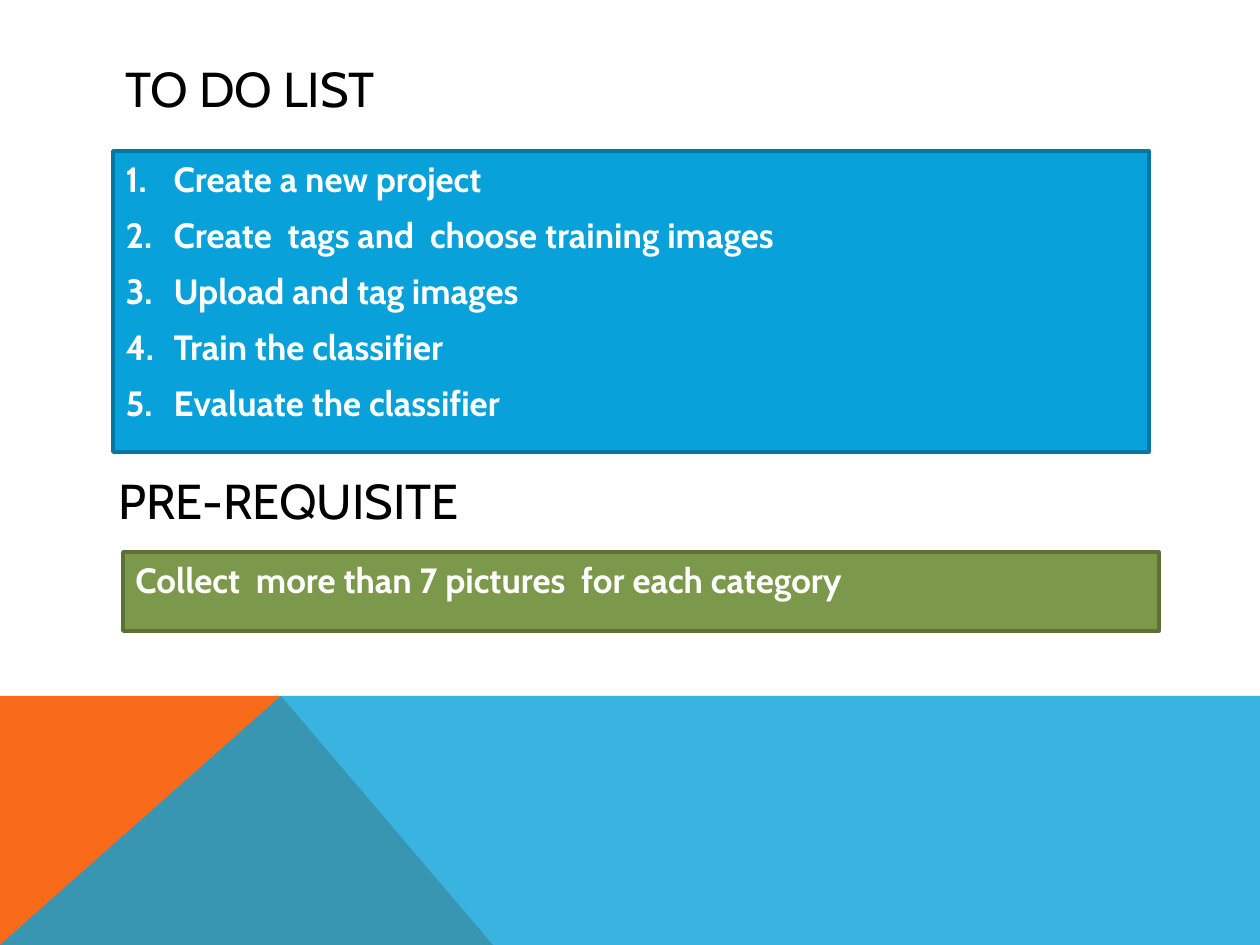
from dataclasses import dataclass

from lxml import etree
from pptx import Presentation
from pptx.dml.color import RGBColor
from pptx.enum.shapes import MSO_SHAPE
from pptx.enum.text import MSO_ANCHOR, MSO_AUTO_SIZE, PP_ALIGN
from pptx.oxml.ns import qn
from pptx.util import Emu, Pt

RECTANGLE = MSO_SHAPE.RECTANGLE
TOP, MIDDLE = MSO_ANCHOR.TOP, MSO_ANCHOR.MIDDLE
LEFT = PP_ALIGN.LEFT
NO_AUTOFIT = MSO_AUTO_SIZE.NONE

EMU_PER_PX = 914400 / 126
PAGE_WIDTH, PAGE_HEIGHT = 1260, 945
BLOCK_WIDTH, HEADING_HEIGHT = 1036, 76
LIST_INDENT = 48


@dataclass(frozen=True)
class Theme:
    font: str = "Cabin"
    heading_size: int = 28
    body_size: int = 20
    space_before: int = 8
    border_width: int = 2
    heading: str = "000000"
    body: str = "FFFFFF"
    blue: str = "08A1D9"
    dark_blue: str = "0677A1"
    green: str = "7C984A"
    dark_green: str = "5C7037"
    orange: str = "F96A1B"


@dataclass(frozen=True)
class Heading:
    text: str
    left: int
    top: int


@dataclass(frozen=True)
class Panel:
    lines: tuple[str, ...]
    left: int
    top: int
    height: int
    fill: str
    border: str
    numbered: bool


@dataclass(frozen=True)
class Band:
    points: tuple[tuple[int, int], ...]
    fill: str
    opacity: int = 100


THEME = Theme()

TITLE = Heading("TO DO LIST", 113, 50)
SUBTITLE = Heading("PRE-REQUISITE", 106, 462)
STEPS = Panel(
    (
        "Create a new project",
        "Create  tags and  choose training images",
        "Upload and tag images",
        "Train the classifier",
        "Evaluate the classifier",
    ),
    113, 151, 301, THEME.blue, THEME.dark_blue, True,
)
REQUIREMENT = Panel(
    ("Collect  more than 7 pictures  for each category",),
    123, 552, 79, THEME.green, THEME.dark_green, False,
)

BAND_TOP, PEAK, FOOT = 696, 281, 493
BANDS = (
    Band(((0, PAGE_HEIGHT), (0, BAND_TOP), (PEAK, BAND_TOP), (FOOT, PAGE_HEIGHT)),
         THEME.orange),
    Band(((0, PAGE_HEIGHT), (PEAK, BAND_TOP), (PAGE_WIDTH, BAND_TOP),
          (PAGE_WIDTH, PAGE_HEIGHT)), THEME.blue, 80),
)


def px(length: int) -> Emu:
    return Emu(round(length * EMU_PER_PX))


def place(box, left: int, top: int, height: int) -> None:
    box.left, box.top = px(left), px(top)
    box.width, box.height = px(BLOCK_WIDTH), px(height)


def paint(shape, color: str) -> None:
    shape.fill.solid()
    shape.fill.fore_color.rgb = RGBColor.from_string(color)


def write(box, lines: tuple[str, ...], size: int, color: str, bold: bool, anchor) -> None:
    frame = box.text_frame
    frame.text = "\n".join(lines)
    frame.word_wrap = True
    frame.auto_size = NO_AUTOFIT
    frame.vertical_anchor = anchor
    for para in frame.paragraphs:
        para.alignment = LEFT
        para.font.name = THEME.font
        para.font.size = Pt(size)
        para.font.bold = bold
        para.font.color.rgb = RGBColor.from_string(color)


def draw_heading(box, heading: Heading) -> None:
    place(box, heading.left, heading.top, HEADING_HEIGHT)
    write(box, (heading.text,), THEME.heading_size, THEME.heading, False, MIDDLE)


def draw_panel(box, panel: Panel) -> None:
    place(box, panel.left, panel.top, panel.height)
    paint(box, panel.fill)
    box.line.color.rgb = RGBColor.from_string(panel.border)
    box.line.width = Pt(THEME.border_width)
    write(box, panel.lines, THEME.body_size, THEME.body, True, TOP)
    for para in box.text_frame.paragraphs:
        para.space_before = Pt(THEME.space_before)
        if panel.numbered:
            number(para)


def number(para) -> None:
    properties = para._p.get_or_add_pPr()
    properties.set("marL", str(px(LIST_INDENT)))
    properties.set("indent", str(-px(LIST_INDENT)))
    bullet = etree.Element(qn("a:buAutoNum"), type="arabicPeriod")
    properties.find(qn("a:defRPr")).addprevious(bullet)


def draw_band(page, band: Band) -> None:
    start, *rest = band.points
    builder = page.shapes.build_freeform(*start, scale=EMU_PER_PX)
    builder.add_line_segments(rest, close=True)
    shape = builder.convert_to_shape()
    shape.shadow.inherit = False
    paint(shape, band.fill)
    shape.line.fill.background()
    if band.opacity < 100:
        color = shape._element.spPr.find(f"{qn('a:solidFill')}/{qn('a:srgbClr')}")
        etree.SubElement(color, qn("a:alpha"), val=str(band.opacity * 1000))


def main() -> None:
    deck = Presentation()
    deck.slide_width, deck.slide_height = px(PAGE_WIDTH), px(PAGE_HEIGHT)
    page = deck.slides.add_slide(deck.slide_layouts[1])

    # Coloured bands at the foot
    for band in BANDS:
        draw_band(page, band)

    # Steps
    draw_heading(page.shapes.title, TITLE)
    draw_panel(page.placeholders[1], STEPS)

    # Prerequisite
    requirement_box = page.shapes.add_shape(RECTANGLE, 0, 0, 0, 0)
    requirement_box.shadow.inherit = False
    draw_panel(requirement_box, REQUIREMENT)
    draw_heading(page.shapes.add_textbox(0, 0, 0, 0), SUBTITLE)

    deck.save("out.pptx")


if __name__ == "__main__":
    main()
